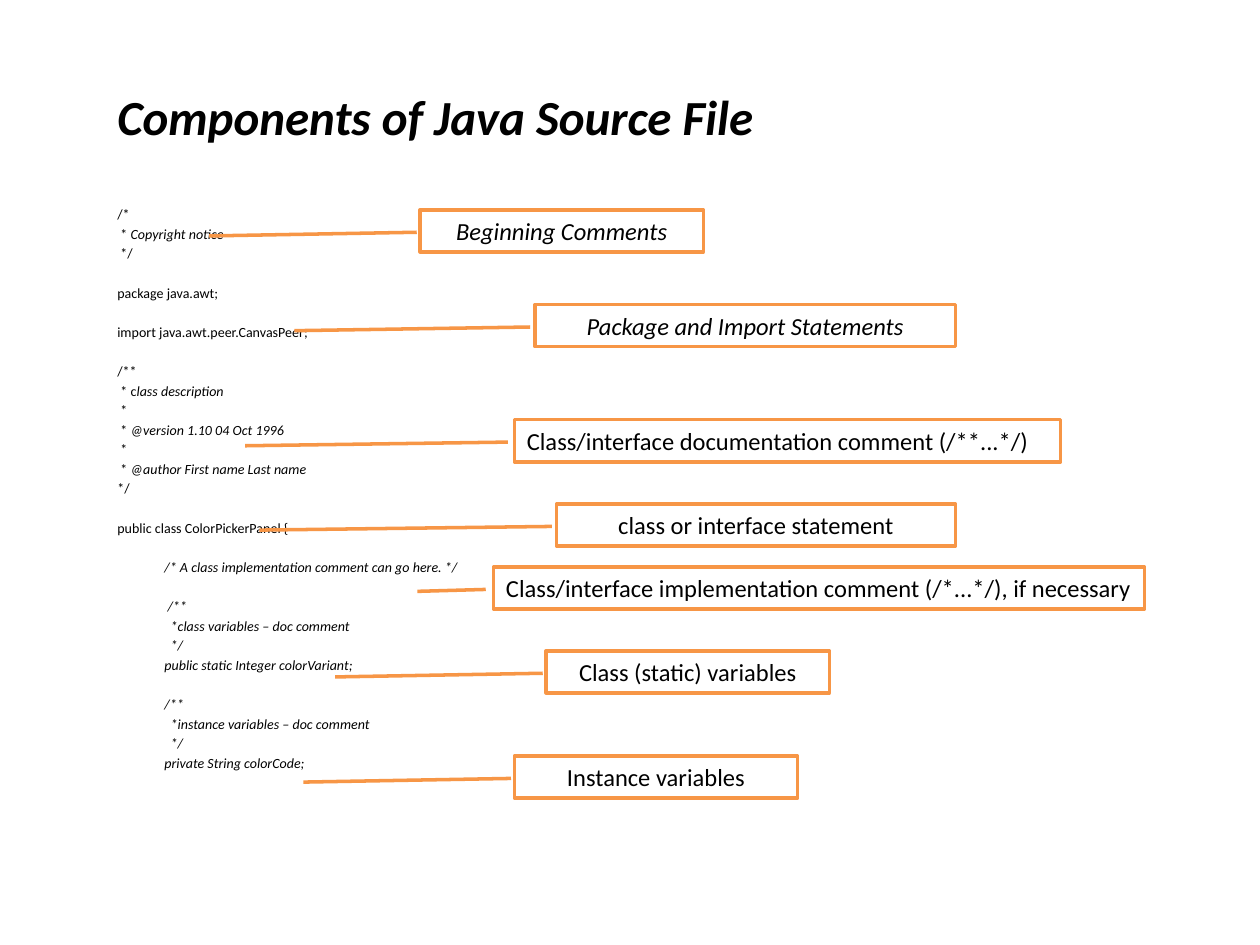
"""Build a slide that labels the components of a Java source file."""
from lxml.etree import SubElement
from pptx import Presentation
from pptx.dml.color import RGBColor
from pptx.enum.shapes import MSO_SHAPE
from pptx.enum.text import MSO_ANCHOR, MSO_AUTO_SIZE, PP_ALIGN
from pptx.oxml.ns import qn
from pptx.util import Cm, Pt


def color(value):
    return RGBColor.from_string(value)


def add_run(paragraph, text, size, italic=False, bold=False):
    run = paragraph.add_run()
    run.text = text
    run.font.name = "Calibri"
    run.font.size = Pt(size)
    run.font.italic = italic
    run.font.bold = bold
    run.font.color.rgb = color("000000")


presentation = Presentation()
presentation.slide_width = Cm(25.4)
presentation.slide_height = Cm(19.05)
slide = presentation.slides.add_slide(presentation.slide_layouts[1])

title = slide.shapes.title
title.left, title.top, title.width, title.height = Cm(2.11), Cm(0.74), Cm(22.43), Cm(3.18)
title.text_frame.vertical_anchor = MSO_ANCHOR.MIDDLE
title_paragraph = title.text_frame.paragraphs[0]
title_paragraph.alignment = PP_ALIGN.LEFT
add_run(title_paragraph, "Components of Java Source File", 28, italic=True, bold=True)

MEMBER_INDENT = 0.95
code_blocks = [
    (0, [("/*", ""), (" * ", "Copyright notice"), (" */", "")]),
    (0, [("package java.awt;", "")]),
    (0, [("import java.awt.peer.CanvasPeer;", "")]),
    (0, [("/**", ""), (" * c", "lass description"), (" *", ""),
         (" * ", "@version 1.10 04 Oct 1996"), (" *", ""),
         (" * ", "@author First name Last name"), ("*/", "")]),
    (0, [("public class ColorPickerPanel {", "")]),
    (MEMBER_INDENT, [("", "/* A class implementation comment can go here. */")]),
    (MEMBER_INDENT, [("", " /**"), ("", "  *class variables – doc comment"), ("", "  */"),
                     ("", "public static Integer colorVariant;")]),
    (MEMBER_INDENT, [("", "/**"), ("", "  *instance variables – doc comment"), ("", "  */"),
                     ("", "private String colorCode;")]),
]
LINE_GAP, BLOCK_GAP = 1.55, 12.9

body = slide.placeholders[1]
body.left, body.top, body.width, body.height = Cm(2.11), Cm(4.02), Cm(22.01), Cm(13.55)
code_frame = body.text_frame
code_frame.auto_size = MSO_AUTO_SIZE.NONE
for block_number, (indent, lines) in enumerate(code_blocks):
    for line_number, (plain, italic) in enumerate(lines):
        first = block_number == line_number == 0
        paragraph = code_frame.paragraphs[0] if first else code_frame.add_paragraph()
        paragraph.space_before = Pt(0 if first else LINE_GAP if line_number else BLOCK_GAP)
        properties = paragraph._p.get_or_add_pPr()
        properties.set("marL", str(Cm(indent)))
        properties.set("indent", "0")
        SubElement(properties, qn("a:buNone"))
        if plain:
            add_run(paragraph, plain, 8)
        if italic:
            add_run(paragraph, italic, 8, italic=True)

CENTER, LEFT = PP_ALIGN.CENTER, PP_ALIGN.LEFT
callouts = [
    ("Beginning Comments", 8.47, 4.23, 5.71, 0.62, -0.745, CENTER, True),
    ("Package and Import Statements", 10.79, 6.14, 8.47, 0.62, -0.573, CENTER, True),
    ("Class/interface documentation comment (/**...*/)",
     10.37, 8.46, 11.01, 0.62, -0.493, LEFT, False),
    ("class or interface statement", 11.22, 10.16, 8.04, 0.62, -0.745, CENTER, False),
    ("Class/interface implementation comment (/*...*/), if necessary",
     9.95, 11.43, 13.12, 0.58, -0.117, LEFT, False),
    ("Class (static) variables", 11.01, 13.12, 5.71, 0.62, -0.745, CENTER, False),
    ("Instance variables", 10.37, 15.24, 5.71, 0.62, -0.745, CENTER, False),
]
for text, left, top, width, tip_y, tip_x, alignment, italic in callouts:
    callout = slide.shapes.add_shape(
        MSO_SHAPE.LINE_CALLOUT_1, Cm(left), Cm(top), Cm(width), Cm(0.85))
    for position, value in enumerate((0.534, -0.012, tip_y, tip_x)):
        callout.adjustments[position] = value
    callout.shadow.inherit = False
    callout.fill.solid()
    callout.fill.fore_color.rgb = color("FFFFFF")
    callout.line.color.rgb = color("F79646")
    callout.line.width = Pt(2)
    callout.text_frame.word_wrap = True
    callout.text_frame.vertical_anchor = MSO_ANCHOR.MIDDLE
    paragraph = callout.text_frame.paragraphs[0]
    paragraph.alignment = alignment
    add_run(paragraph, text, 14, italic=italic)

presentation.save("out.pptx")
